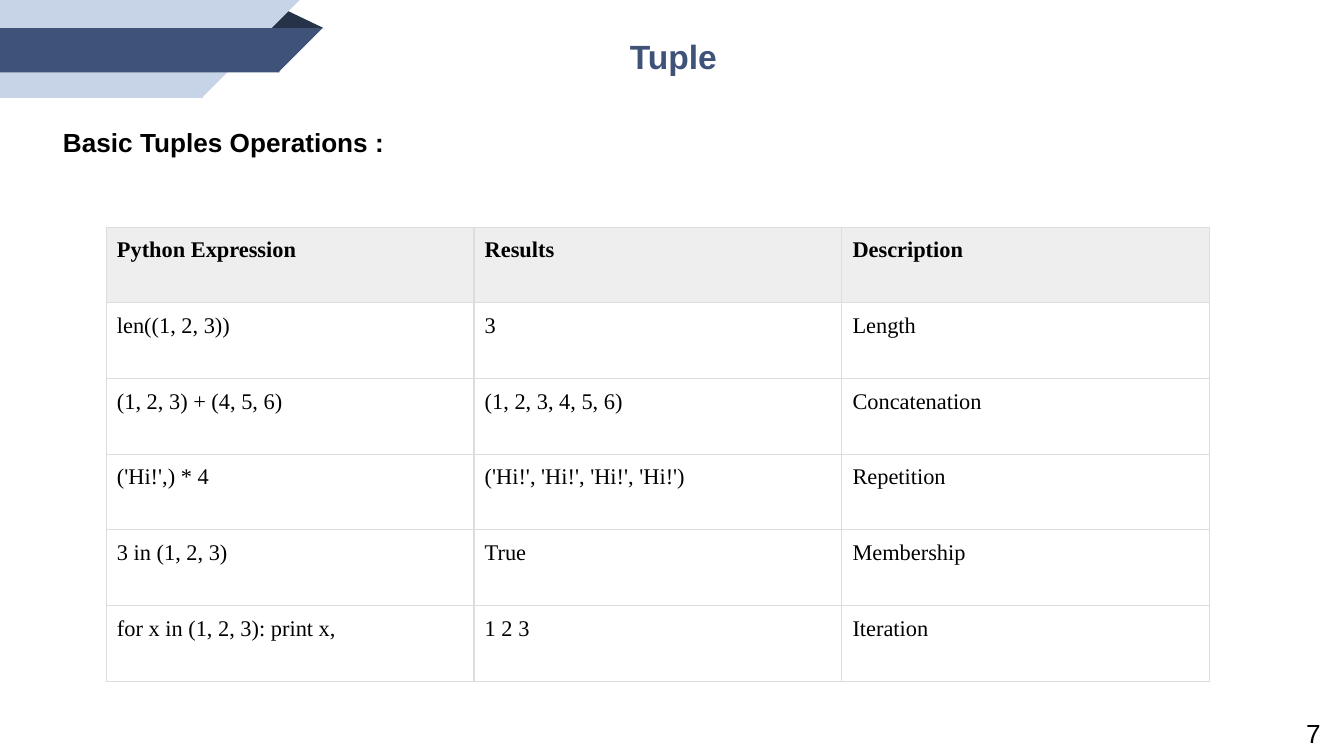
from lxml import etree
from pptx import Presentation
from pptx.dml.color import RGBColor
from pptx.enum import shapes, text
from pptx.oxml import ns
from pptx.util import Inches, Pt

NAVY = RGBColor(0x3F, 0x53, 0x78)
FOLD = RGBColor(0x26, 0x32, 0x48)
PALE = RGBColor(0xC7, 0xD3, 0xE6)
BLACK = RGBColor(0, 0, 0)
HEADER = RGBColor(0xEE, 0xEE, 0xEE)
BORDER = RGBColor(0xDD, 0xDD, 0xDD)

SEAM = 0.01
ROWS = [
    ("Python Expression", "Results", "Description"),
    ("len((1, 2, 3))", "3", "Length"),
    ("(1, 2, 3) + (4, 5, 6)", "(1, 2, 3, 4, 5, 6)", "Concatenation"),
    ("('Hi!',) * 4", "('Hi!', 'Hi!', 'Hi!', 'Hi!')", "Repetition"),
    ("3 in (1, 2, 3)", "True", "Membership"),
    ("for x in (1, 2, 3): print x,", "1 2 3", "Iteration"),
]


def style_text(frame, size, color=BLACK, bold=False, font="Arial"):
    for para in frame.paragraphs:
        for span in para.runs:
            span.font.name = font
            span.font.size = Pt(size)
            span.font.bold = bold
            span.font.color.rgb = color


def add_filled(page, kind, left, top, width, height, color):
    shape = page.shapes.add_shape(
        kind, Inches(left), Inches(top), Inches(width), Inches(height))
    shape.shadow.inherit = False
    shape.fill.solid()
    shape.fill.fore_color.rgb = color
    shape.line.fill.background()
    return shape


def add_band(page, left, top, width, height, color):
    kinds = shapes.MSO_SHAPE
    add_filled(page, kinds.RECTANGLE, left, top, width + SEAM, height, color)
    tip = add_filled(page, kinds.RIGHT_TRIANGLE, left + width, top, height, height, color)
    tip.rotation = 90


def add_ribbon(page, left, top):
    fold = add_filled(page, shapes.MSO_SHAPE.ISOSCELES_TRIANGLE,
                      left + 1.98, top + 0.07, 0.43, 0.14, FOLD)
    fold.adjustments[0] = 0.32
    add_band(page, left, top, 1.5, 0.73, PALE)
    add_band(page, left, top + 0.21, 2.07, 0.33, NAVY)


def add_label(page, left, top, width, height, words, size, color=BLACK, bold=False):
    box = page.shapes.add_textbox(
        Inches(left), Inches(top), Inches(width), Inches(height))
    frame = box.text_frame
    frame.word_wrap = True
    frame.text = words
    style_text(frame, size, color, bold)
    return frame


def add_title(page, left, top, width, height):
    frame = add_label(page, left, top, width, height, "Tuple", 18, NAVY, True)
    frame.auto_size = text.MSO_AUTO_SIZE.SHAPE_TO_FIT_TEXT
    frame.margin_left = Inches(0.27)
    frame.paragraphs[0].alignment = text.PP_ALIGN.CENTER
    frame.paragraphs[0].line_spacing = 1.15


def add_page_number(page, left, top, width, height):
    frame = add_label(page, left, top, width, height, "7", 14)
    frame.vertical_anchor = text.MSO_ANCHOR.MIDDLE
    frame.margin_right = 0


def add_borders(cell):
    properties = cell._tc.get_or_add_tcPr()
    for side in ("lnL", "lnR", "lnT", "lnB"):
        line = etree.SubElement(properties, ns.qn(f"a:{side}"), w=str(Pt(0.75)))
        fill = etree.SubElement(line, ns.qn("a:solidFill"))
        etree.SubElement(fill, ns.qn("a:srgbClr"), val=str(BORDER))


def fill_cell(cell, words, is_header):
    cell.margin_left = cell.margin_right = Inches(0.08)
    cell.margin_top = cell.margin_bottom = Inches(0.08)
    add_borders(cell)
    if is_header:
        cell.fill.solid()
        cell.fill.fore_color.rgb = HEADER
    else:
        cell.fill.background()
    cell.text_frame.text = words
    para = cell.text_frame.paragraphs[0]
    para.alignment = text.PP_ALIGN.JUSTIFY
    para.space_after = Pt(15)
    style_text(cell.text_frame, 12, bold=is_header, font="Times New Roman")


def add_operations_table(page, left, top, width, height):
    table = page.shapes.add_table(
        len(ROWS), len(ROWS[0]), Inches(left), Inches(top),
        Inches(width), Inches(height)).table
    table.horz_banding = False
    table.first_row = False
    for row_index, row in enumerate(ROWS):
        for column_index, words in enumerate(row):
            fill_cell(table.cell(row_index, column_index), words, row_index == 0)


def main():
    deck = Presentation()
    deck.slide_width = Inches(10)
    deck.slide_height = deck.slide_width * 9 // 16
    page = deck.slides.add_slide(deck.slide_layouts[6])
    add_ribbon(page, 0, 0)
    add_page_number(page, 9.62, 5.28, 0.38, 0.35)
    add_title(page, 3.2, 0.17, 3.45, 0.42)
    add_label(page, 0.37, 0.89, 5.15, 0.32, "Basic Tuples Operations :", 14, bold=True)
    add_operations_table(page, 0.79, 1.69, 8.21, 3.38)
    deck.save("out.pptx")


if __name__ == "__main__":
    main()
